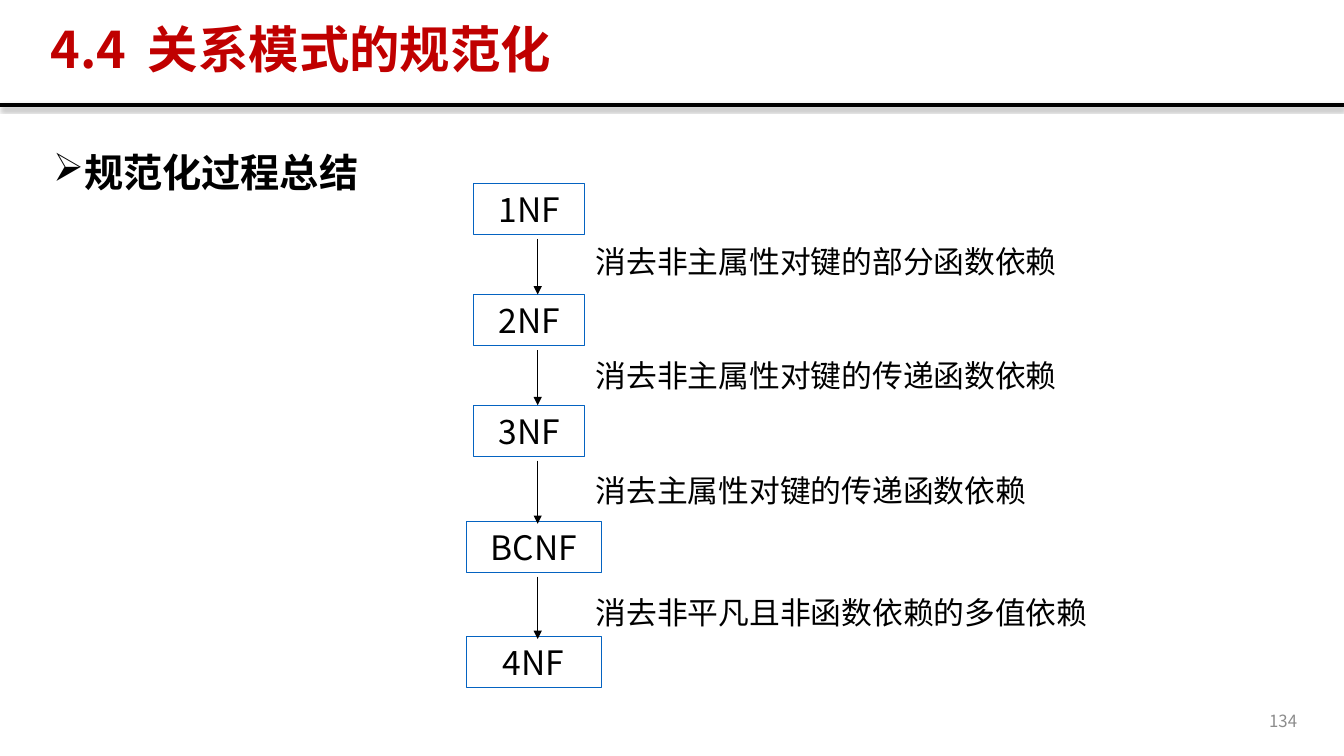
"""Build the slide that sums up the normalisation steps from 1NF to 4NF."""
from lxml import etree
from pptx import Presentation
from pptx.dml.color import RGBColor
from pptx.enum.shapes import MSO_CONNECTOR, MSO_SHAPE
from pptx.enum.text import MSO_ANCHOR, PP_ALIGN
from pptx.oxml.ns import qn
from pptx.util import Cm, Pt

TITLE = "4.4\t关系模式的规范化"
HEADING = "规范化过程总结"
PAGE_NUMBER = "134"

NARROW = (11.94, 2.79)
WIDE = (11.75, 3.4)
FORMS = [
    ("1NF", 4.62, NARROW),
    ("2NF", 7.42, NARROW),
    ("3NF", 10.21, NARROW),
    ("BCNF", 13.13, WIDE),
    ("4NF", 16.03, WIDE),
]
STEPS = [
    ("消去非主属性对键的部分函数依赖", 5.99, 7.42),
    ("消去非主属性对键的传递函数依赖", 8.86, 10.21),
    ("消去主属性对键的传递函数依赖", 11.76, 13.2),
    ("消去非平凡且非函数依赖的多值依赖", 14.83, 16.1),
]

FONT = "Noto Sans CJK SC"
BLACK = RGBColor(0x00, 0x00, 0x00)
RED = RGBColor(0xC0, 0x00, 0x00)
BLUE = RGBColor(0x05, 0x63, 0xC1)
GREY = RGBColor(0x8C, 0x8C, 0x8C)
JUSTIFY, LEFT, RIGHT, CENTER = PP_ALIGN.JUSTIFY, PP_ALIGN.LEFT, PP_ALIGN.RIGHT, PP_ALIGN.CENTER
TOP, MIDDLE = MSO_ANCHOR.TOP, MSO_ANCHOR.MIDDLE
STRAIGHT = MSO_CONNECTOR.STRAIGHT
RECTANGLE = MSO_SHAPE.RECTANGLE

SLIDE_WIDTH, SLIDE_HEIGHT = 33.87, 19.05
RULE_TOP = 2.64
BOX_HEIGHT = 1.3
ARROW_LEFT, ARROW_GAP = 13.55, 0.1
LABEL_LEFT, LABEL_HEIGHT = 14.76, 1.19
CHARACTER_WIDTH, LABEL_PADDING = 0.785, 0.72


def write(shape, text, size, color, align, anchor=MIDDLE, wrap=True, bold=False, spacing=1.0):
    """Put one formatted paragraph into a shape and return it."""
    frame = shape.text_frame
    frame.word_wrap, frame.vertical_anchor = wrap, anchor
    paragraph = frame.paragraphs[0]
    paragraph.alignment, paragraph.line_spacing = align, spacing
    run = paragraph.add_run()
    run.text = text
    for name, value in {"name": FONT, "size": Pt(size), "bold": bold}.items():
        setattr(run.font, name, value)
    run.font.color.rgb = color
    etree.SubElement(run.font._element, qn("a:ea"), typeface=FONT)
    return paragraph


def add_text(slide, place, *args, **formats):
    """Add a text box at a place given in centimetres."""
    return write(slide.shapes.add_textbox(*map(Cm, place)), *args, **formats)


def add_line(slide, start, end, width):
    """Add a black line and return it with its empty effect list."""
    line = slide.shapes.add_connector(STRAIGHT, *map(Cm, start + end))
    line.line.color.rgb, line.line.width = BLACK, Pt(width)
    return line, etree.SubElement(line._element.spPr, qn("a:effectLst"))


def add_header(slide):
    """Add the title, the shadowed rule, the heading and the page number."""
    effects = add_line(slide, (0, RULE_TOP), (SLIDE_WIDTH, RULE_TOP), 3)[1]
    shadow = etree.SubElement(effects, qn("a:outerShdw"), blurRad=str(Pt(3.1)),
                              dist=str(Pt(1.8)), dir="5400000", rotWithShape="0")
    tint = etree.SubElement(shadow, qn("a:srgbClr"), val=str(BLACK))
    etree.SubElement(tint, qn("a:alpha"), val="35000")

    title = add_text(slide, (1.02, 0.48, 29.72, 1.65), TITLE, 36, RED, JUSTIFY,
                     bold=True, spacing=0.9)
    tabs = etree.SubElement(title._p.get_or_add_pPr(), qn("a:tabLst"))
    etree.SubElement(tabs, qn("a:tab"), pos=str(Cm(2.46)), algn="l")

    heading = add_text(slide, (1.09, 3.38, 31.5, 13.77), HEADING, 28, BLACK, JUSTIFY,
                       anchor=TOP, bold=True, spacing=1.2)
    properties = heading._p.get_or_add_pPr()
    properties.set("marL", str(Cm(0.64)))
    properties.set("indent", str(Cm(-0.64)))
    etree.SubElement(properties, qn("a:buChar"), char="➢")

    add_text(slide, (25.32, 17.65, 7.62, 1.02), PAGE_NUMBER, 12, GREY, RIGHT)


def add_flow(slide):
    """Add the boxes, the arrows between them and the arrow labels."""
    for name, top, (left, width) in FORMS:
        box = slide.shapes.add_shape(RECTANGLE, *map(Cm, (left, top, width, BOX_HEIGHT)))
        box.shadow.inherit = False
        box.fill.background()
        box.line.color.rgb, box.line.width = BLUE, Pt(0.75)
        write(box, name, 24, BLACK, CENTER)

    for (_, box_top, _), (text, label_top, arrow_end) in zip(FORMS, STEPS):
        arrow_start = box_top + BOX_HEIGHT + ARROW_GAP
        arrow = add_line(slide, (ARROW_LEFT, arrow_start), (ARROW_LEFT, arrow_end), 0.75)[0]
        etree.SubElement(arrow.line._get_or_add_ln(), qn("a:tailEnd"), type="triangle")
        label_width = len(text) * CHARACTER_WIDTH + LABEL_PADDING
        add_text(slide, (LABEL_LEFT, label_top, label_width, LABEL_HEIGHT),
                 text, 22, BLACK, LEFT, wrap=False)


def main():
    """Create the presentation and save it."""
    presentation = Presentation()
    presentation.slide_width, presentation.slide_height = Cm(SLIDE_WIDTH), Cm(SLIDE_HEIGHT)
    slide = presentation.slides.add_slide(presentation.slide_layouts[6])
    add_header(slide)
    add_flow(slide)
    presentation.save("out.pptx")


if __name__ == "__main__":
    main()
